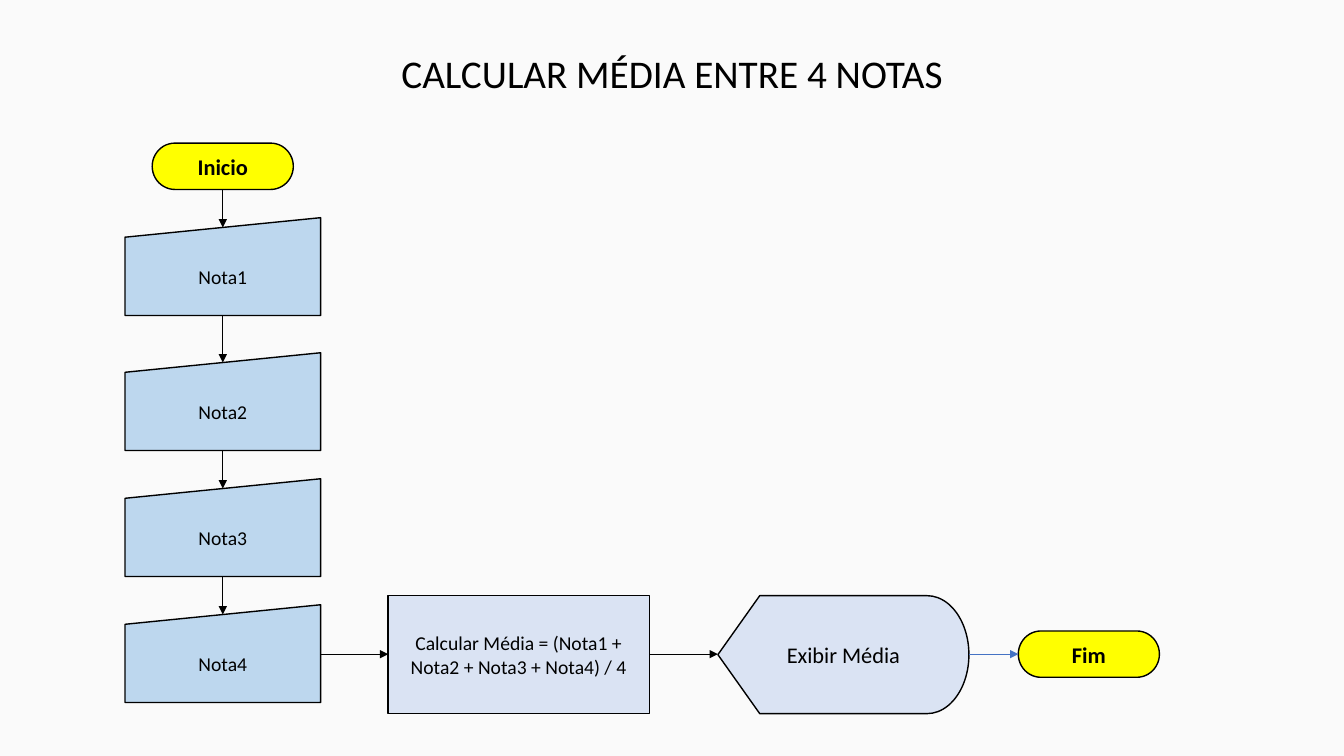
from lxml import etree
from pptx import Presentation
from pptx.dml.color import RGBColor
from pptx.enum.shapes import MSO_CONNECTOR, MSO_SHAPE
from pptx.enum.text import MSO_ANCHOR, PP_ALIGN
from pptx.oxml.ns import qn
from pptx.util import Inches, Pt

TERMINATOR = MSO_SHAPE.FLOWCHART_TERMINATOR
MANUAL_INPUT = MSO_SHAPE.FLOWCHART_MANUAL_INPUT
PROCESS = MSO_SHAPE.FLOWCHART_PROCESS
DISPLAY = MSO_SHAPE.FLOWCHART_DISPLAY
STRAIGHT = MSO_CONNECTOR.STRAIGHT
CENTER = PP_ALIGN.CENTER
MIDDLE = MSO_ANCHOR.MIDDLE

# Connection sites of a flowchart shape
TOP, LEFT, BOTTOM, RIGHT = range(4)

BLACK, BLUE = "000000", "4472C4"
YELLOW, SKY, PALE = "FFFF00", "BDD7EE", "DAE3F3"


def color(hex_value):
    return RGBColor.from_string(hex_value)


def write(frame, text, size, bold=False):
    frame.word_wrap = True
    paragraph = frame.paragraphs[0]
    paragraph.text = text
    paragraph.alignment = CENTER
    paragraph.font.name = "Calibri"
    paragraph.font.size = Pt(size)
    paragraph.font.bold = bold
    paragraph.font.color.rgb = color(BLACK)


prs = Presentation()
prs.slide_width, prs.slide_height = Inches(13.33), Inches(7.5)
slide = prs.slides.add_slide(prs.slide_layouts[6])
slide.background.fill.solid()
slide.background.fill.fore_color.rgb = color("FAFAFA")

# Flowchart steps: text, shape, left, top, width, height, fill, size, bold
flow = [("Inicio", TERMINATOR, 1.51, 1.42, 1.4, 0.46, YELLOW, 16, True)]
for number, top in enumerate((2.16, 3.5, 4.75, 6), start=1):
    flow.append((f"Nota{number}", MANUAL_INPUT, 1.24, top, 1.94, 0.97, SKY, 14, False))
flow += [
    ("Calcular Média = (Nota1 + Nota2 + Nota3 + Nota4) / 4",
     PROCESS, 3.85, 5.91, 2.59, 1.17, PALE, 14, False),
    ("Exibir Média", DISPLAY, 7.12, 5.91, 2.49, 1.17, PALE, 16, False),
    ("Fim", TERMINATOR, 10.1, 6.26, 1.4, 0.46, YELLOW, 16, True),
]

steps = []
for text, kind, left, top, width, height, fill, size, bold in flow:
    step = slide.shapes.add_shape(
        kind, Inches(left), Inches(top), Inches(width), Inches(height))
    step.shadow.inherit = False
    step.fill.solid()
    step.fill.fore_color.rgb = color(fill)
    step.line.color.rgb = color(BLACK)
    step.line.width = Pt(1)
    step.text_frame.vertical_anchor = MIDDLE
    write(step.text_frame, text, size, bold)
    steps.append(step)

# Title
title = slide.shapes.add_textbox(0, Inches(0.44), Inches(13.33), Inches(0.57))
write(title.text_frame, "CALCULAR MÉDIA ENTRE 4 NOTAS", 28)

# Arrows from each step to the next: down to the grades, then to the right
for source, target in zip(steps, steps[1:]):
    downward = target.auto_shape_type == MANUAL_INPUT
    arrow = slide.shapes.add_connector(STRAIGHT, 0, 0, 0, 0)
    arrow.begin_connect(source, BOTTOM if downward else RIGHT)
    arrow.end_connect(target, TOP if downward else LEFT)
    if downward:
        # The slanted top edge is a tenth of the height down at its middle
        arrow.end_x = arrow.begin_x
        arrow.end_y = target.top + target.height // 10
    else:
        arrow.begin_y = arrow.end_y = Inches(6.49)
    arrow.line.color.rgb = color(BLUE if target is steps[-1] else BLACK)
    arrow.line.width = Pt(0.5)
    line_xml = arrow.line._get_or_add_ln()
    etree.SubElement(line_xml, qn("a:tailEnd"), type="triangle")
    etree.SubElement(line_xml.getparent(), qn("a:effectLst"))

prs.save("out.pptx")
